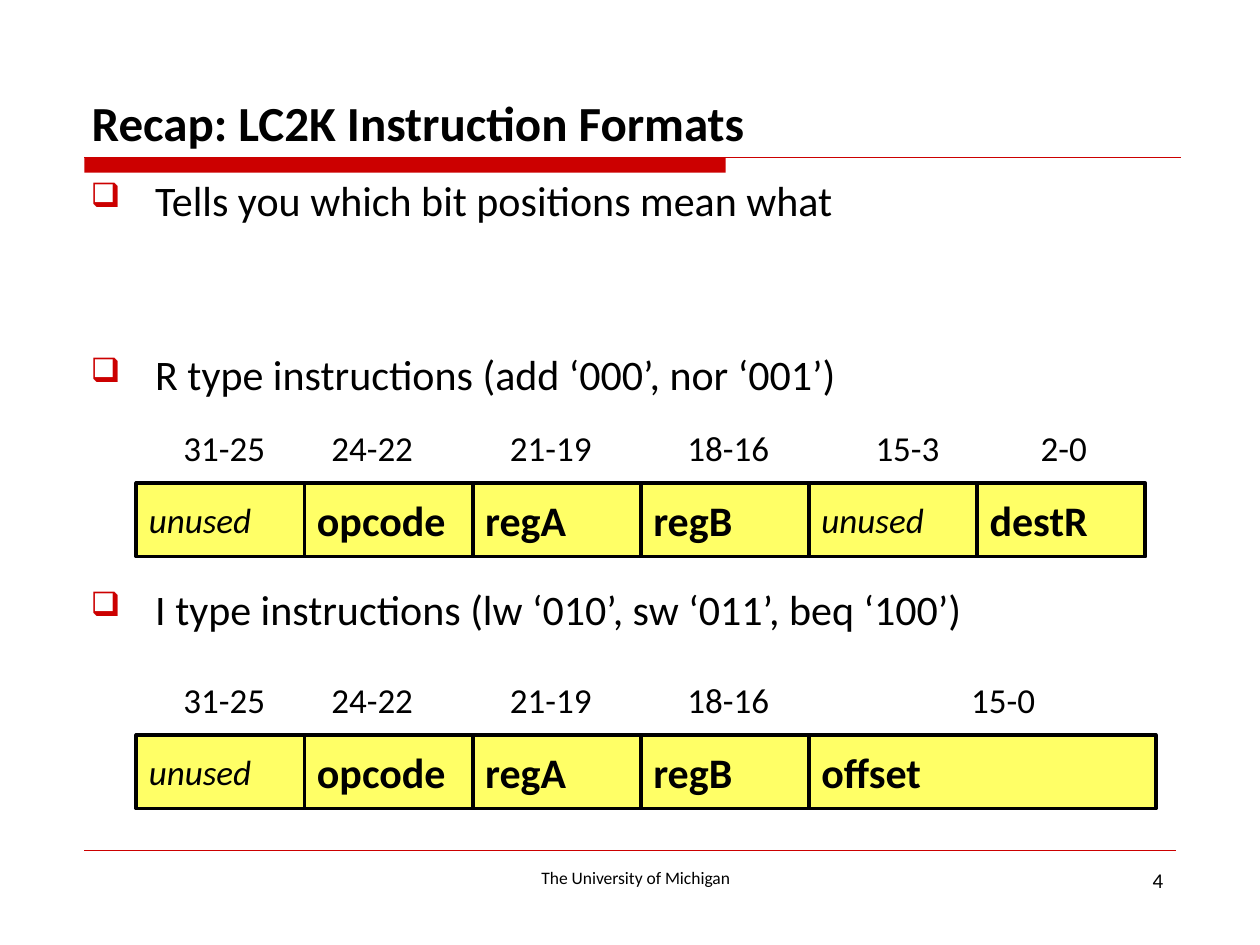
from lxml import etree
from pptx import Presentation
from pptx import util as u
from pptx.dml.color import RGBColor
from pptx.enum import shapes, text
from pptx.oxml.ns import qn

RED, YELLOW, BLACK = "CC0000", "FFFF66", "000000"
LEFT, ANCHOR = text.PP_ALIGN.LEFT, text.MSO_ANCHOR

prs = Presentation()
prs.slide_width, prs.slide_height = u.Cm(25.4), u.Cm(19.05)
s = prs.slides.add_slide(prs.slide_layouts[6])


def rgb(value):
    return RGBColor.from_string(value)


def write(sp, content, size=20, bold=False, italic=False, align=LEFT,
          anchor=ANCHOR.TOP, wrap=False, before=0, bullet=False):
    """Fill a shape with one paragraph, or add one after existing text."""
    tf = sp.text_frame
    tf.word_wrap, tf.vertical_anchor = wrap, anchor
    p = tf.add_paragraph() if tf.text else tf.paragraphs[0]
    p.alignment, p.space_before = align, u.Pt(before)
    if bullet:
        pPr = p._p.get_or_add_pPr()
        pPr.set("marL", str(u.Cm(1.3)))
        pPr.set("indent", str(u.Cm(-1.3)))
        color = etree.SubElement(pPr, qn("a:buClr"))
        etree.SubElement(color, qn("a:srgbClr"), val=RED)
        etree.SubElement(pPr, qn("a:buSzPct"), val="80000")
        etree.SubElement(pPr, qn("a:buChar"), char="❑")
    r = p.add_run()
    r.text = content
    f = r.font
    f.name, f.size, f.bold, f.italic = "Calibri", u.Pt(size), bold, italic
    f.color.rgb = rgb(BLACK)


# Rules above and below the content
for y, right, width in ((3.18, 23.8, 0.75), (17.15, 23.7, 0.25)):
    line = s.shapes.add_connector(shapes.MSO_CONNECTOR.STRAIGHT,
                                  u.Cm(1.7), u.Cm(y), u.Cm(right), u.Cm(y))
    line.line.color.rgb, line.line.width = rgb(RED), u.Pt(width)
    etree.SubElement(line._element.spPr, qn("a:effectLst"))

bar = s.shapes.add_shape(shapes.MSO_SHAPE.RECTANGLE,
                         u.Cm(1.7), u.Cm(3.18), u.Cm(12.93), u.Cm(0.3))
bar.shadow.inherit = False
bar.fill.solid()
bar.fill.fore_color.rgb = rgb(RED)
bar.line.fill.background()

# Title, footer and slide number
for content, box, style in (
    ("Recap: LC2K Instruction Formats", (1.6, 0.85, 22.23, 2.33),
     dict(size=28, bold=True, anchor=ANCHOR.BOTTOM)),
    ("The University of Michigan", (8.05, 17.36, 9.53, 0.68),
     dict(size=10, align=text.PP_ALIGN.CENTER)),
    ("4", (19.47, 17.36, 4.23, 1.32),
     dict(size=12, align=text.PP_ALIGN.RIGHT)),
):
    write(s.shapes.add_textbox(*map(u.Cm, box)), content, wrap=True, **style)

body = s.shapes.add_textbox(u.Cm(1.58), u.Cm(3.39), u.Cm(23.39), u.Cm(13.33))
for content, before in (
    ("Tells you which bit positions mean what", 0),
    ("R type instructions (add ‘000’, nor ‘001’)", 71),
    ("I type instructions (lw ‘010’, sw ‘011’, beq ‘100’)", 105),
):
    write(body, content, size=24, wrap=True, before=before, bullet=True)

# Instruction formats: (field, field width, bits, label left, label width)
FIELD = 3.39
common = [("unused", FIELD, "31-25", 3.45, 2.18),
          ("opcode", FIELD, "24-22", 6.43, 2.18),
          ("regA", FIELD, "21-19", 10.03, 2.18),
          ("regB", FIELD, "18-16", 13.61, 2.18)]
r_type = common + [("unused", FIELD, "15-3", 17.4, 1.8),
                   ("destR", FIELD, "2-0", 20.73, 1.45)]
i_type = common + [("offset", 6.99, "15-0", 19.33, 1.8)]

for top, fields in ((9.74, r_type), (14.82, i_type)):
    x = 2.75
    for name, width, bits, label_x, label_width in fields:
        sp = s.shapes.add_shape(shapes.MSO_SHAPE.RECTANGLE, u.Cm(x),
                                u.Cm(top), u.Cm(width), u.Cm(1.48))
        sp.shadow.inherit = False
        sp.fill.solid()
        sp.fill.fore_color.rgb = rgb(YELLOW)
        sp.line.color.rgb, sp.line.width = rgb(BLACK), u.Pt(2.25)
        unused = name == "unused"
        write(sp, name, size=20 if unused else 24, bold=not unused,
              italic=unused, anchor=ANCHOR.MIDDLE)
        label = s.shapes.add_textbox(u.Cm(label_x), u.Cm(top - 1.27),
                                     u.Cm(label_width), u.Cm(1.11))
        write(label, bits)
        x += width

prs.save("out.pptx")
